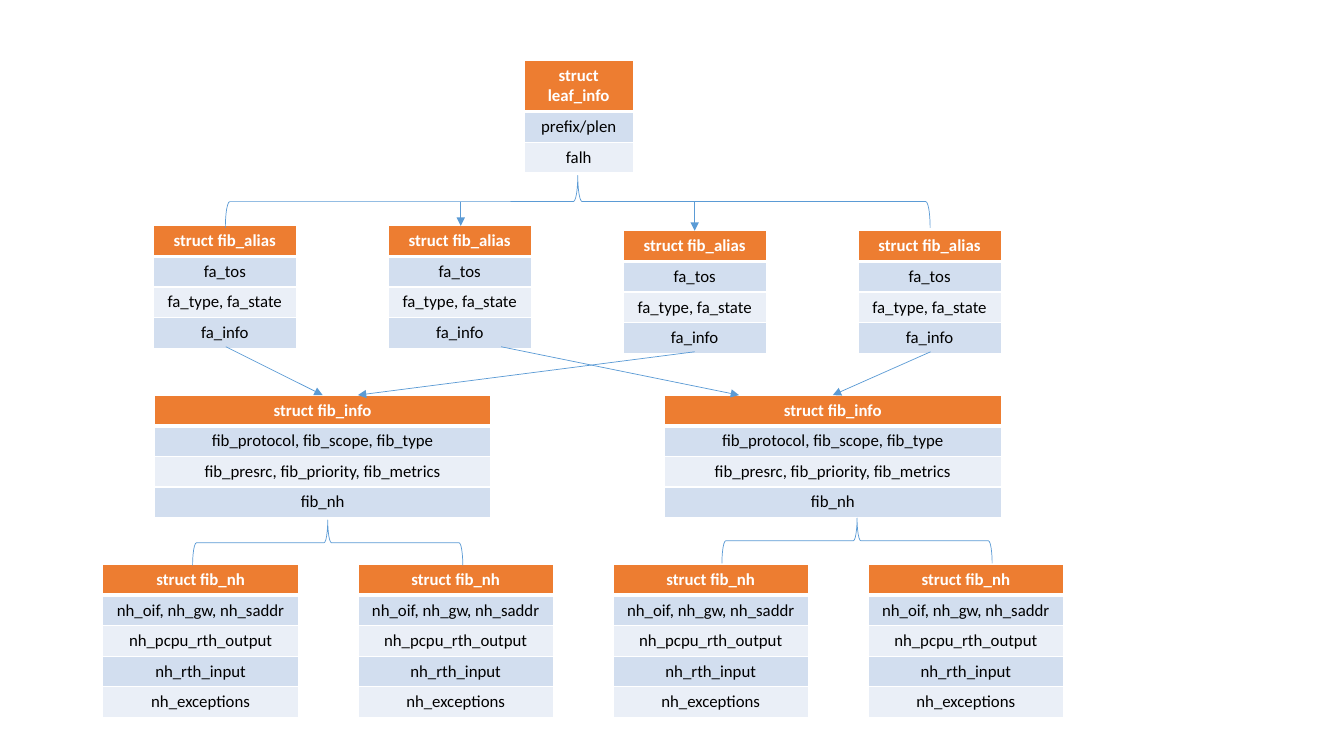
from dataclasses import dataclass

from lxml import etree
from pptx import Presentation
from pptx.dml.color import RGBColor
from pptx.enum.shapes import MSO_CONNECTOR, MSO_SHAPE
from pptx.enum.text import PP_ALIGN
from pptx.oxml.ns import qn
from pptx.util import Inches, Pt

STRAIGHT = MSO_CONNECTOR.STRAIGHT
LEFT_BRACE = MSO_SHAPE.LEFT_BRACE
CENTER = PP_ALIGN.CENTER


@dataclass(frozen=True)
class Theme:
    font: str = "Calibri"
    text_size: float = 12
    header: str = "ED7D31"
    header_text: str = "FFFFFF"
    body_text: str = "000000"
    bands: tuple = ("D2DEEF", "EAEFF7")
    border: str = "FFFFFF"
    border_width: float = 1
    header_rule_width: float = 3
    line: str = "5B9BD5"
    line_width: float = 0.5
    row_height: float = 0.3


class StructDiagram:
    def __init__(self, slide, theme):
        self.slide = slide
        self.theme = theme

    def struct(self, left, top, width, name, fields, header_height=None):
        """Draw one struct as a table: a header row above its fields."""
        theme = self.theme
        heights = [header_height or theme.row_height]
        heights += [theme.row_height] * len(fields)
        table = self.slide.shapes.add_table(
            len(heights), 1, Inches(left), Inches(top), Inches(width), Inches(sum(heights))
        ).table
        for index, (text, height) in enumerate(zip([name, *fields], heights)):
            table.rows[index].height = Inches(height)
            self.cell(table.cell(index, 0), text, index)

    def cell(self, cell, text, index):
        theme = self.theme
        is_header = index == 0
        fill = theme.header if is_header else theme.bands[(index - 1) % 2]
        color = theme.header_text if is_header else theme.body_text
        # The rule below the header is thicker than the other borders
        top = theme.header_rule_width if index == 1 else theme.border_width
        bottom = theme.header_rule_width if is_header else theme.border_width
        self.borders(cell, {"lnL": theme.border_width, "lnR": theme.border_width,
                            "lnT": top, "lnB": bottom})
        cell.fill.solid()
        cell.fill.fore_color.rgb = RGBColor.from_string(fill)
        cell.text_frame.text = text
        para = cell.text_frame.paragraphs[0]
        para.alignment = CENTER
        font = para.runs[0].font
        font.name = theme.font
        font.size = Pt(theme.text_size)
        font.bold = is_header
        font.color.rgb = RGBColor.from_string(color)

    def borders(self, cell, widths):
        properties = cell._tc.get_or_add_tcPr()
        for side, width in widths.items():
            border = etree.SubElement(properties, qn(f"a:{side}"), w=str(Pt(width)))
            solid = etree.SubElement(border, qn("a:solidFill"))
            etree.SubElement(solid, qn("a:srgbClr"), val=self.theme.border)

    def style_line(self, line):
        line.color.rgb = RGBColor.from_string(self.theme.line)
        line.width = Pt(self.theme.line_width)

    def arrow(self, start, end):
        points = [Inches(value) for value in (*start, *end)]
        arrow = self.slide.shapes.add_connector(STRAIGHT, *points)
        self.style_line(arrow.line)
        etree.SubElement(arrow.line._get_or_add_ln(), qn("a:tailEnd"), type="triangle")
        etree.SubElement(arrow._element.spPr, qn("a:effectLst"))

    def brace(self, center_x, top, span, depth):
        """Draw a brace that opens downwards, from its visible position."""
        left = center_x - depth / 2
        unrotated_top = top + depth / 2 - span / 2
        brace = self.slide.shapes.add_shape(
            LEFT_BRACE, Inches(left), Inches(unrotated_top), Inches(depth), Inches(span)
        )
        brace.rotation = 90
        brace.shadow.inherit = False
        brace.fill.background()
        self.style_line(brace.line)


def main():
    deck = Presentation()
    deck.slide_width = Inches(13.33)
    deck.slide_height = Inches(7.5)
    slide = deck.slides.add_slide(deck.slide_layouts[6])
    diagram = StructDiagram(slide, Theme())

    # Leaf at the top of the tree
    diagram.struct(5.2, 0.6, 1.08, "struct leaf_info", ["prefix/plen", "falh"], 0.5)

    # Aliases: the right-hand pair sits slightly lower
    for index, top in enumerate((2.24, 2.24, 2.29, 2.29)):
        diagram.struct(1.52 + 2.33 * index, top, 1.42, "struct fib_alias",
                       ["fa_tos", "fa_type, fa_state", "fa_info"])

    # Route information
    for left in (1.53, 6.59):
        diagram.struct(left, 3.92, 3.34, "struct fib_info",
                       ["fib_protocol, fib_scope, fib_type",
                        "fib_presrc, fib_priority, fib_metrics", "fib_nh"])

    # Next hops
    for index in range(4):
        diagram.struct(1.02 + 2.53 * index, 5.6, 1.94, "struct fib_nh",
                       ["nh_oif, nh_gw, nh_saddr", "nh_pcpu_rth_output",
                        "nh_rth_input", "nh_exceptions"])

    # Braces from a parent to its children
    diagram.brace(5.73, 1.74, 6.99, 0.52)
    diagram.brace(3.25, 5.16, 2.68, 0.45)
    diagram.brace(8.5, 5.14, 2.68, 0.45)

    # Arrows from the leaf to the inner aliases
    diagram.arrow((4.57, 2), (4.57, 2.24))
    diagram.arrow((6.89, 2), (6.89, 2.29))

    # Arrows from the aliases to the route information
    diagram.arrow((2.24, 3.44), (3.2, 3.92))
    diagram.arrow((6.89, 3.49), (3.55, 3.92))
    diagram.arrow((4.97, 3.44), (7.33, 3.92))
    diagram.arrow((9.23, 3.49), (8.26, 3.92))

    deck.save("out.pptx")


if __name__ == "__main__":
    main()
